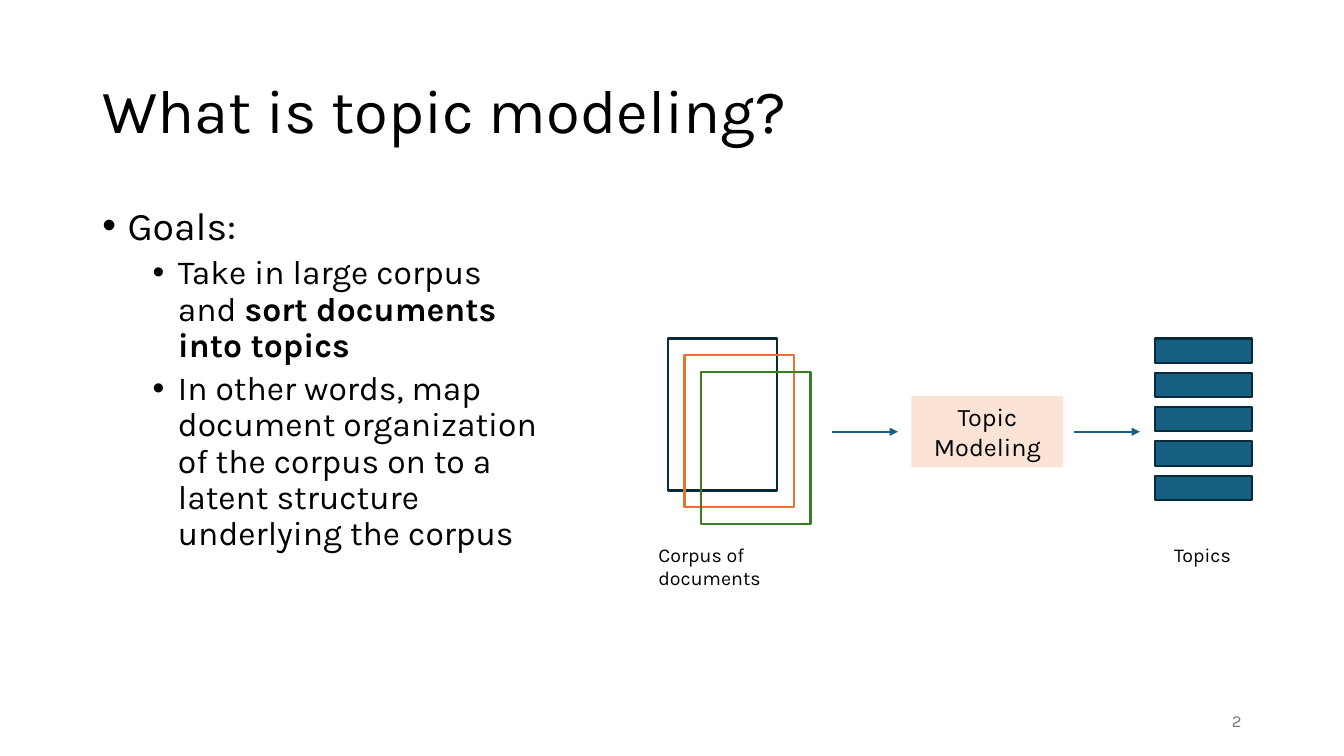
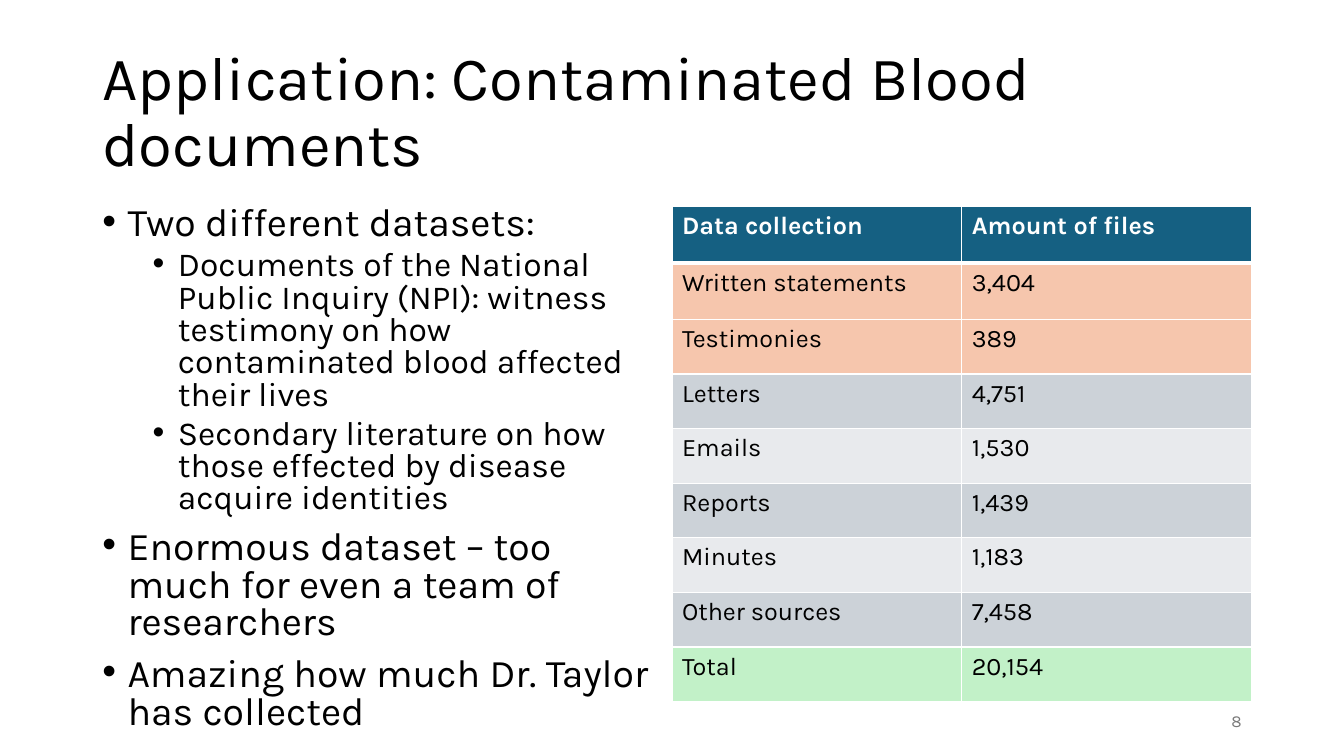
import pptx
import pptx.util
import pptx.dml.color
import pptx.enum.shapes
import pptx.enum.text
import pptx.oxml
import pptx.oxml.ns
import lxml.etree

COLORS = {
    "text": "000000", "muted": "797979", "white": "FFFFFF",
    "teal": "156082", "navy": "092A39", "orange": "E97132", "green": "3B7D23",
    "peach": "FBE3D6", "salmon": "F6C6AD", "band_dark": "CCD2D8",
    "band_light": "E8EAED", "mint": "C2F1C8",
}
FONT = "Karla"
WIDTH, HEIGHT = pptx.util.Inches(13.333), pptx.util.Inches(7.5)
COLS, ROWS = 80, 45
LEFT, CONTENT_W = 5.5, 69
BODY_TOP, BODY_H = 12, 28.55
LEVELS = [
    {"size": 28, "indent": 0.25, "before": 10},
    {"size": 24, "indent": 0.75, "before": 5},
]
PP_ALIGN = pptx.enum.text.PP_ALIGN
MIDDLE = pptx.enum.text.MSO_ANCHOR.MIDDLE


def col(n):
    return int(WIDTH * n / COLS)


def row(n):
    return int(HEIGHT * n / ROWS)


def area(x, y, w, h):
    return col(x), row(y), col(w), row(h)


def rgb(name):
    return pptx.dml.color.RGBColor.from_string(COLORS[name])


def child(parent, tag, **attrs):
    return lxml.etree.SubElement(parent, pptx.oxml.ns.qn(tag), **attrs)


def style(p, size, color="text", bold=False, align=PP_ALIGN.LEFT):
    p.font.name, p.font.size, p.font.bold = FONT, pptx.util.Pt(size), bold
    p.font.color.rgb = rgb(color)
    p.alignment = align


def add_text(slide, box, text, size, anchor=None, spacing=None, **look):
    tf = slide.shapes.add_textbox(*area(*box)).text_frame
    tf.word_wrap = True
    if anchor is not None:
        tf.vertical_anchor = anchor
    p = tf.paragraphs[0]
    p.text = text
    if spacing:
        p.line_spacing = spacing
    style(p, size, **look)


def add_bullets(slide, width, items, spacing):
    tf = slide.shapes.add_textbox(*area(LEFT, BODY_TOP, width, BODY_H)).text_frame
    tf.word_wrap = True
    for i, (level, *texts) in enumerate(items):
        p = tf.add_paragraph() if i else tf.paragraphs[0]
        rule = LEVELS[level]
        p.level = level
        p.line_spacing = spacing
        p.space_before = pptx.util.Pt(rule["before"])
        style(p, rule["size"])
        pPr = p._p.get_or_add_pPr()
        pPr.set("marL", str(pptx.util.Inches(rule["indent"])))
        pPr.set("indent", str(pptx.util.Inches(-0.25)))
        bullet = [pptx.oxml.ns.qn("a:buFont"), pptx.oxml.ns.qn("a:buChar")]
        at = pPr.index(pPr.find(pptx.oxml.ns.qn("a:defRPr")))
        pPr.insert(at, lxml.etree.Element(bullet[0], typeface="Arial"))
        pPr.insert(at + 1, lxml.etree.Element(bullet[1], char="•"))
        for n, text in enumerate(texts):
            r = p.add_run()
            r.text = text
            if len(texts) > 1:
                r.font.bold = n % 2 == 1


def add_rect(slide, box, fill=None, line=None, text=None):
    sp = slide.shapes.add_shape(pptx.enum.shapes.MSO_SHAPE.RECTANGLE, *area(*box))
    sp.shadow.inherit = False
    if fill:
        sp.fill.solid()
        sp.fill.fore_color.rgb = rgb(fill)
    else:
        sp.fill.background()
    if line:
        sp.line.color.rgb = rgb(line)
        sp.line.width = pptx.util.Pt(1.5)
    else:
        sp.line.fill.background()
    if text:
        tf = sp.text_frame
        tf.word_wrap = True
        tf.vertical_anchor = MIDDLE
        tf.paragraphs[0].text = text
        style(tf.paragraphs[0], 18, align=PP_ALIGN.CENTER)


def add_arrow(slide, x, y, length):
    kind = pptx.enum.shapes.MSO_CONNECTOR.STRAIGHT
    line = slide.shapes.add_connector(kind, col(x), row(y), col(x + length), row(y))
    line.line.color.rgb = rgb("teal")
    line.line.width = pptx.util.Pt(1.5)
    child(line.line._get_or_add_ln(), "a:tailEnd", type="triangle")
    child(line._element.spPr, "a:effectLst")


def set_borders(cell, widths):
    tcPr = cell._tc.get_or_add_tcPr()
    for side, width in zip("LRTB", widths):
        ln = child(tcPr, "a:ln" + side, w=str(pptx.util.Pt(width)))
        child(child(ln, "a:solidFill"), "a:srgbClr", val=COLORS["white"])


def add_files_table(slide, box, header_h, row_h, rows):
    table = slide.shapes.add_table(len(rows), 2, *area(*box)).table
    table.horz_banding = False
    for column in table.columns:
        column.width = col(box[2] / 2)
    for i, (fill, *texts) in enumerate(rows):
        table.rows[i].height = row(header_h if i < 2 else row_h)
        for j, text in enumerate(texts):
            cell = table.cell(i, j)
            set_borders(cell, (1, 1, 3 if i == 1 else 1, 3 if i == 0 else 1))
            cell.fill.solid()
            cell.fill.fore_color.rgb = rgb(fill)
            p = cell.text_frame.paragraphs[0]
            p.text = text
            style(p, 18, color="text" if i else "white", bold=i == 0)


def add_slide(prs, title, number):
    slide = prs.slides.add_slide(prs.slide_layouts[6])
    add_text(slide, (LEFT, 2.4, CONTENT_W, 8.7), title, 44, anchor=MIDDLE, spacing=0.9)
    add_text(slide, (56.5, 41.7, 18, 2.4), str(number), 12, anchor=MIDDLE,
             color="muted", align=PP_ALIGN.RIGHT)
    return slide


def add_topic_flow(slide):
    top, middle, label_top = 20.15, 25.7, 32
    for i, color in enumerate(("navy", "orange", "green")):
        add_rect(slide, (39.75 + i, top + i, 6.5, 9.05), line=color)
    add_text(slide, (38.6, label_top, 12.3, 2), "Corpus of documents", 14)
    for x in (49.5, 63.9):
        add_arrow(slide, x, middle, 3.95)
    add_rect(slide, (54.25, middle - 2.12, 9.05, 4.24), fill="peach", text="Topic Modeling")
    for i in range(5):
        add_rect(slide, (68.75, top + 2.04 * i, 5.8, 1.45), fill="teal", line="navy")
    add_text(slide, (69.3, label_top, 4.65, 2), "Topics", 14)


def main():
    prs = pptx.Presentation()
    prs.slide_width, prs.slide_height = WIDTH, HEIGHT

    slide = add_slide(prs, "What is topic modeling?", 2)
    add_bullets(slide, 27.3, [
        (0, "Goals:"),
        (1, "Take in large corpus and ", "sort documents into topics"),
        (1, "In other words, map document organization of the corpus on to a "
            "latent structure underlying the corpus"),
    ], 0.9)
    add_topic_flow(slide)

    slide = add_slide(prs, "Application: Contaminated Blood documents", 8)
    add_bullets(slide, CONTENT_W / 2, [
        (0, "Two different datasets:"),
        (1, "Documents of the National Public Inquiry (NPI): witness testimony "
            "on how contaminated blood affected their lives"),
        (1, "Secondary literature on how those effected by disease acquire identities"),
        (0, "Enormous dataset – too much for even a team of researchers"),
        (0, "Amazing how much Dr. Taylor has collected"),
    ], 0.8)
    add_files_table(slide, (40, 12.3, CONTENT_W / 2, 29.47), 3.36, 3.25, [
        ("teal", "Data collection", "Amount of files"),
        ("salmon", "Written statements", "3,404"),
        ("salmon", "Testimonies", "389"),
        ("band_dark", "Letters", "4,751"),
        ("band_light", "Emails", "1,530"),
        ("band_dark", "Reports", "1,439"),
        ("band_light", "Minutes", "1,183"),
        ("band_dark", "Other sources", "7,458"),
        ("mint", "Total", "20,154"),
    ])

    prs.save("out.pptx")


if __name__ == "__main__":
    main()
